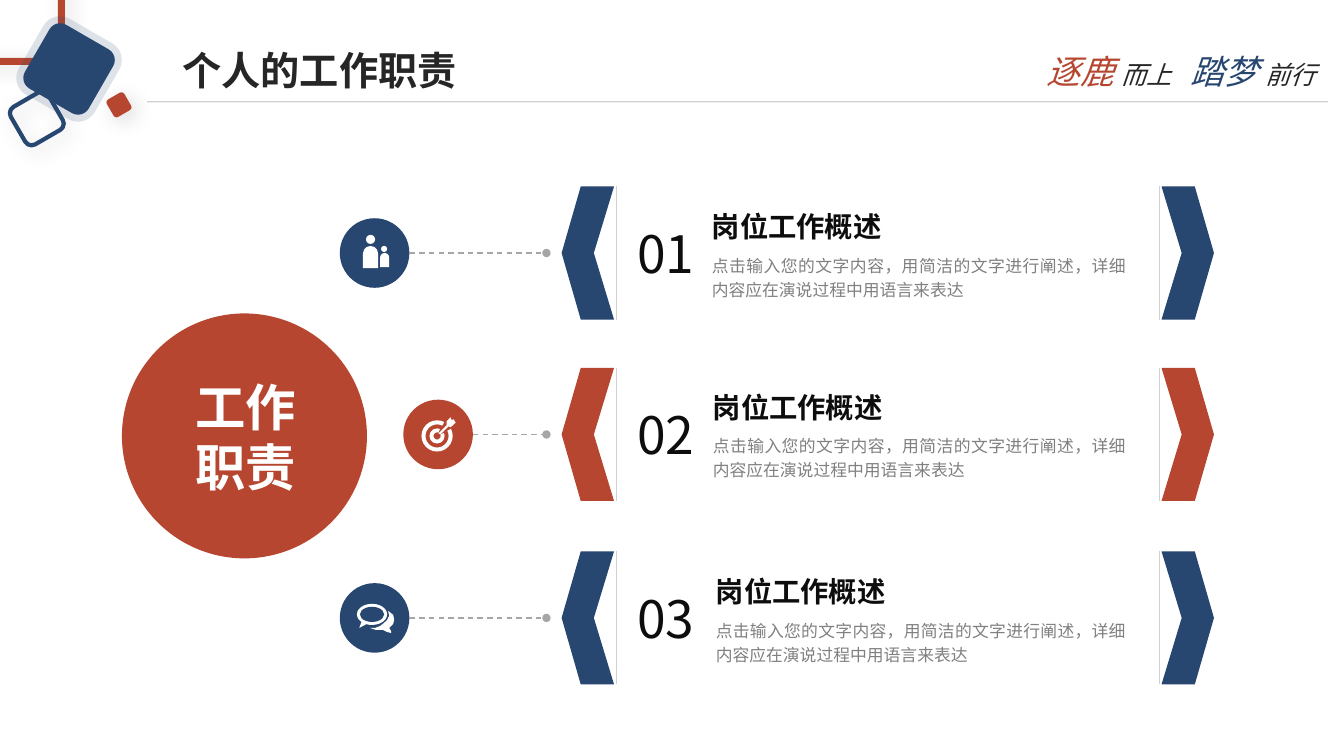
from lxml import etree
from pptx import Presentation
from pptx.dml.color import RGBColor
from pptx.enum.dml import MSO_LINE
from pptx.enum.shapes import MSO_CONNECTOR, MSO_SHAPE as SHAPE
from pptx.enum.text import MSO_ANCHOR, PP_ALIGN
from pptx.oxml import parse_xml
from pptx.oxml.ns import nsdecls, qn
from pptx.util import Inches, Pt

# Content
FONT = "Noto Sans CJK SC"
BLUE, RED, WHITE, DARK = "274670", "B64630", "FFFFFF", "262626"
TITLE = "个人的工作职责"
HUB = "工作职责"
SLOGAN = [("逐鹿 ", 24, RED), ("而上", 18, DARK), (" ", 24, DARK),
          ("踏梦 ", 24, BLUE), ("前行", 18, DARK)]
HEADING = "岗位工作概述"
BODY = "点击输入您的文字内容，用简洁的文字进行阐述，详细内容应在演说过程中用语言来表达"
# number, colour, centre height, icon left, text left, heading top, body top
ROWS = [("01", BLUE, 2.51, 3.37, 7.06, 2.08, 2.5),
        ("02", RED, 4.31, 4.0, 7.07, 3.87, 4.28),
        ("03", BLUE, 6.13, 3.37, 7.1, 5.7, 6.12)]
# corner squares: left, top, side, rotation, fill, line colour, line width, line opacity, shadow
SQUARES = [(-0.36, -0.36, 0.97, 0, None, RED, 5, 100, True),
           (0.15, 0.96, 0.43, 60, None, BLUE, 3, 100, True),
           (0.32, 0.32, 0.73, 30, BLUE, BLUE, 10, 15, False),
           (1.08, 0.94, 0.2, 60, RED, None, 0, 100, True)]
# icon parts: preset, box, adjustments, fill
ICON_PARTS = [
    (SHAPE.OVAL, (3.63, 2.33, 0.09, 0.09), (), WHITE),
    (SHAPE.ROUND_2_SAME_RECTANGLE, (3.6, 2.44, 0.15, 0.22), (0.5, 0), WHITE),
    (SHAPE.OVAL, (3.78, 2.44, 0.06, 0.06), (), WHITE),
    (SHAPE.ROUND_2_SAME_RECTANGLE, (3.77, 2.51, 0.09, 0.14), (0.5, 0), WHITE),
    (SHAPE.BLOCK_ARC, (4.18, 4.17, 0.31, 0.31), (199.8, 178.2, 0.13), WHITE),
    (SHAPE.BLOCK_ARC, (4.26, 4.25, 0.15, 0.15), (202.2, 175.8, 0.26), WHITE),
    (SHAPE.OVAL_CALLOUT, (3.54, 5.99, 0.3, 0.21), (-0.42, 0.64), WHITE),
    (SHAPE.OVAL, (3.57, 6.02, 0.24, 0.15), (), BLUE)]
DART = [(4.35, 4.3), (4.43, 4.22), (4.43, 4.18), (4.47, 4.14), (4.48, 4.17), (4.5, 4.16),
        (4.51, 4.18), (4.52, 4.19), (4.47, 4.24), (4.45, 4.23), (4.37, 4.31)]
BACK_BUBBLE = [(3.88, 6.26), (3.86, 6.23), (3.9, 6.19), (3.91, 6.15), (3.9, 6.1), (3.85, 6.06),
               (3.86, 6.11), (3.84, 6.15), (3.81, 6.18), (3.77, 6.21), (3.72, 6.23),
               (3.67, 6.23), (3.73, 6.25), (3.8, 6.25), (3.84, 6.27), (3.88, 6.28)]

LEFT_TIP, RIGHT_TIP, HALF = 5.57, 12.04, 0.66
ICON = 0.69


def rgb(value):
    return RGBColor.from_string(value)


def set_alpha(fill, percent):
    color = fill._xPr.find(qn("a:solidFill"))[0]
    etree.SubElement(color, qn("a:alpha")).set("val", str(percent * 1000))


def add_shadow(s, blur, dist):
    props = s._element.spPr
    for old in props.findall(qn("a:effectLst")):
        props.remove(old)
    props.append(parse_xml(
        f'<a:effectLst {nsdecls("a")}><a:outerShdw blurRad="{Pt(blur)}" dist="{Pt(dist)}" '
        'dir="2700000" algn="tl" rotWithShape="0"><a:srgbClr val="000000">'
        '<a:alpha val="15000"/></a:srgbClr></a:outerShdw></a:effectLst>'))


def paint(s, fill):
    s.shadow.inherit = False
    s.line.fill.background()
    if fill:
        s.fill.solid()
        s.fill.fore_color.rgb = rgb(fill)
    else:
        s.fill.background()
    return s


def shape(preset, box, fill, adjustments=()):
    s = shapes.add_shape(preset, *map(Inches, box))
    for i, value in enumerate(adjustments):
        s.adjustments[i] = value
    return paint(s, fill)


def polygon(points, fill):
    start, *rest = [(Inches(x), Inches(y)) for x, y in points]
    builder = shapes.build_freeform(*start)
    builder.add_line_segments(rest, close=True)
    return paint(builder.convert_to_shape(), fill)


def line(x1, y1, x2, y2, color, width):
    c = shapes.add_connector(MSO_CONNECTOR.STRAIGHT, *map(Inches, (x1, y1, x2, y2)))
    c.line.color.rgb = rgb(color)
    c.line.width = Pt(width)
    etree.SubElement(c._element.spPr, qn("a:effectLst"))
    return c


def add_run(p, text, size, color, **formats):
    r = p.add_run()
    r.text = text
    for name, value in {"name": FONT, "size": Pt(size), **formats}.items():
        setattr(r.font, name, value)
    r.font.color.rgb = rgb(color)
    props = r._r.get_or_add_rPr()
    etree.SubElement(props, qn("a:ea")).set("typeface", FONT)
    return r


def text_box(box, align, margin=0, wrap=True):
    tf = shapes.add_textbox(*map(Inches, box)).text_frame
    tf.word_wrap = wrap
    for side, factor in {"left": 1, "right": 1, "top": 0.5, "bottom": 0.5}.items():
        setattr(tf, f"margin_{side}", Inches(margin * factor))
    p = tf.paragraphs[0]
    p.alignment = align
    return p


prs = Presentation()
prs.slide_width, prs.slide_height = Inches(13.33), Inches(7.5)
slide = prs.slides.add_slide(prs.slide_layouts[5])
shapes = slide.shapes

# Header rule and corner squares
rule = line(1.46, 1.01, 13.17, 1.01, "BFBFBF", 1)
set_alpha(rule.line.fill, 70)
add_shadow(rule, 5, 2)
for left, top, side, turn, fill, color, width, opacity, shaded in SQUARES:
    s = shape(SHAPE.ROUNDED_RECTANGLE, (left, top, side, side), fill)
    s.rotation = turn
    if color:
        s.line.color.rgb = rgb(color)
        s.line.width = Pt(width)
        if opacity < 100:
            set_alpha(s.line.fill, opacity)
    if shaded:
        add_shadow(s, 15, 5)

# Slogan and title
p = text_box((10.14, 0.46, 3.15, 0.5), PP_ALIGN.CENTER, 0.1)
for text, size, color in SLOGAN:
    r = add_run(p, text, size, color, italic=True)
    if text == " ":
        r._r.get_or_add_rPr().set("spc", "800")

title = shapes.title
title.left, title.top, title.width, title.height = map(Inches, (1.71, 0.32, 3.28, 0.75))
tf = title.text_frame
tf.vertical_anchor = MSO_ANCHOR.MIDDLE
tf.word_wrap = True
tf.paragraphs[0].alignment = PP_ALIGN.LEFT
add_run(tf.paragraphs[0], TITLE, 28, DARK, bold=True)

# Hub
shape(SHAPE.OVAL, (1.21, 3.11, 2.43, 2.43), RED)
add_run(text_box((1.67, 3.68, 1.53, 1.31), PP_ALIGN.CENTER, 0.1), HUB, 36, WHITE, bold=True)

# Rows: icon disc, dashed link, chevron pair, texts
for number, color, mid, icon_left, text_left, heading_top, body_top in ROWS:
    shape(SHAPE.OVAL, (icon_left, mid - ICON / 2, ICON, ICON), color)
    link = line(icon_left + ICON, mid, 5.42, mid, "A6A6A6", 1)
    link.line.dash_style = MSO_LINE.DASH
    etree.SubElement(link.line._get_or_add_ln(), qn("a:tailEnd")).set("type", "oval")
    for tip, way in ((LEFT_TIP, 1), (RIGHT_TIP, -1)):
        polygon([(tip + way * dx, mid + dy) for dx, dy in (
            (0, 0), (0.19, -HALF), (0.52, -HALF), (0.32, 0), (0.52, HALF), (0.19, HALF))], color)
        edge = tip + way * 0.54
        line(edge, mid - HALF, edge, mid + HALF, "D0D0D0", 0.25)
    p = text_box((6.32, mid - 0.31, 0.57, 0.62), PP_ALIGN.CENTER, wrap=False)
    add_run(p, number, 36.8, "0D0D0D")
    p = text_box((text_left, heading_top, 1.92, 0.34), PP_ALIGN.LEFT)
    add_run(p, HEADING, 20.2, "0D0D0D", bold=True)
    p = text_box((text_left, body_top, 11.17 - text_left, 0.48), PP_ALIGN.JUSTIFY)
    p.line_spacing = 1.2
    add_run(p, BODY, 12, "808080")

# Icons
for preset, box, adjustments, fill in ICON_PARTS:
    shape(preset, box, fill, adjustments)
for outline in (DART, BACK_BUBBLE):
    polygon(outline, WHITE)

prs.save("out.pptx")
